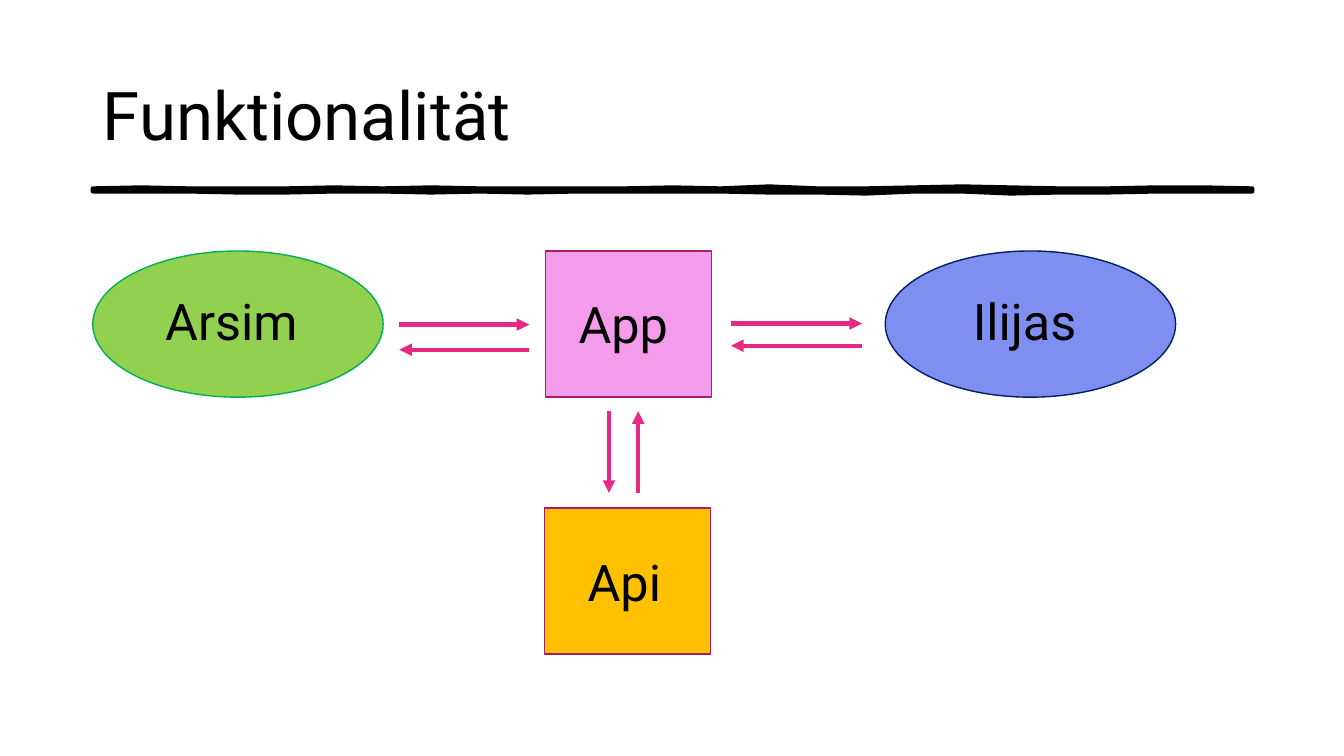
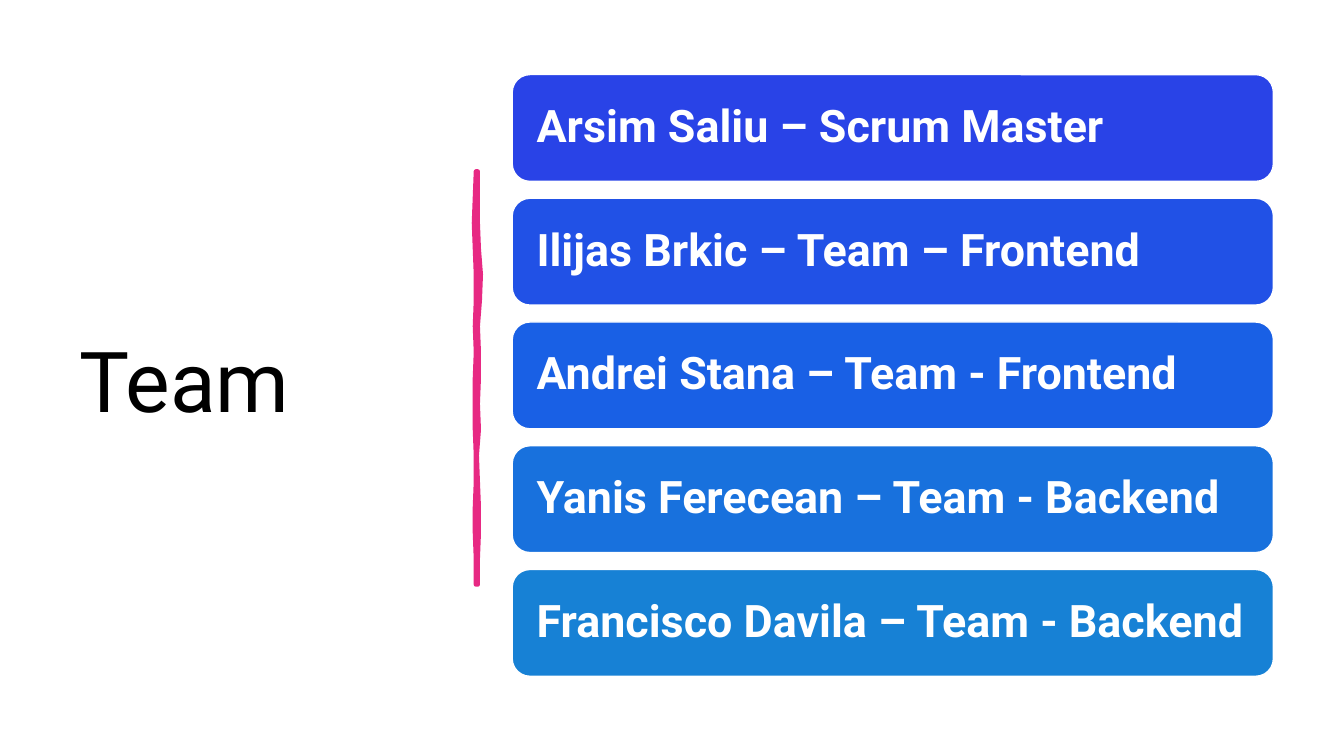
from dataclasses import dataclass

from lxml.etree import SubElement as add_node
from pptx import Presentation
from pptx.dml.color import RGBColor as Color
from pptx.enum.shapes import MSO_CONNECTOR as Link, MSO_SHAPE as Form
from pptx.enum.text import MSO_ANCHOR as Anchor, PP_ALIGN as Align
from pptx.oxml.ns import qn
from pptx.util import Inches, Pt


@dataclass(frozen=True)
class Theme:
    """Colours, font and type sizes of the deck."""
    font: str = "Roboto"
    ink: str = "000000"
    paper: str = "FFFFFF"
    pink: str = "E72983"
    wine: str = "AB1E61"
    lime: str = "92D050"
    green: str = "00B050"
    rose: str = "F49CEB"
    lilac: str = "7F8EF1"
    navy: str = "002060"
    gold: str = "FFC000"
    blues: tuple = ("2943E7", "2151E6", "1960E5", "1871DD", "1781D5")
    head: int = 48
    cover: int = 60
    label: int = 36
    bar: int = 32
    thin: int = 1
    thick: int = 3


T = Theme()
TEAM = (
    "Arsim Saliu – Scrum Master",
    "Ilijas Brkic – Team – Frontend",
    "Andrei Stana – Team - Frontend",
    "Yanis Ferecean – Team - Backend",
    "Francisco Davila – Team - Backend",
)
RULE = (
    (0, -1, 0, 0, 0, -1, 0, -1, 0, 0, 0, 0, -1, 0, -2, 0, 0, -1, -2, -1, 0, 0, -1, -1, 0),
    (3, 3, 3, 4, 4, 3, 3, 4, 3, 4, 3, 3, 3, 3, 4, 4, 5, 3, 3, 5, 4, 4, 3, 3, 3),
)
STROKE = (
    (0, -1, -2, -1, 0, 0, -1, 0, -1, -1, -1, 0, 0, -1, -1, 0, 0),
    (2, 2, 2, 3, 5, 4, 2, 3, 3, 2, 3, 1, 2, 3, 3, 2, 2),
)


def place(box):
    """Turn a box in inches into lengths."""
    return [Inches(n) for n in box]


def write(shape, text, size, tint, anchor, bold=False):
    """Set one left-aligned line of text in a shape."""
    frame = shape.text_frame
    frame.word_wrap = True
    frame.vertical_anchor = anchor
    frame.text = text
    para = frame.paragraphs[0]
    para.alignment = Align.LEFT
    font = para.runs[0].font
    font.name, font.size, font.bold = T.font, Pt(size), bold
    font.color.rgb = Color.from_string(tint)
    return frame


def add_text(slide, box, text, size, anchor=Anchor.MIDDLE):
    """Add a black text box."""
    write(slide.shapes.add_textbox(*place(box)), text, size, T.ink, anchor)


def paint(shape, fill, edge, width):
    """Give a shape a flat fill and an outline."""
    shape.shadow.inherit = False
    shape.fill.solid()
    shape.fill.fore_color.rgb = Color.from_string(fill)
    shape.line.color.rgb = Color.from_string(edge)
    shape.line.width = Pt(width)
    return shape


def brush(slide, box, edges, tint):
    """Draw an uneven stroke along the longer side of a box."""
    left, top, wide, high = box
    step = max(wide, high) / (len(edges[0]) - 1)
    near, far = ([(i * step, n / 100) for i, n in enumerate(edge)] for edge in edges)
    loop = near + far[::-1]
    if high > wide:
        loop = [(y, x) for x, y in loop]
    spots = [(Inches(left + x), Inches(top + y)) for x, y in loop]
    pen = slide.shapes.build_freeform(*spots[0])
    pen.add_line_segments(spots[1:], close=True)
    shape = paint(pen.convert_to_shape(), tint, tint, T.thick)
    add_node(shape.element.spPr.find(qn("a:ln")), qn("a:round"))


def node(slide, box, form, fill, edge, text, shift):
    """Draw a node with its label shifted from the corner."""
    paint(slide.shapes.add_shape(form, *place(box)), fill, edge, T.thin)
    left, top, wide, high = box
    right, down = shift
    add_text(slide, (left + right, top + down, 2, 0.71), text, T.label, Anchor.TOP)


def arrow(slide, start, end):
    """Draw a pink arrow between two points."""
    link = slide.shapes.add_connector(Link.STRAIGHT, *place(start + end))
    link.line.color.rgb = Color.from_string(T.pink)
    link.line.width = Pt(T.thick)
    props = link.element.spPr
    add_node(props.find(qn("a:ln")), qn("a:tailEnd"), type="triangle")
    add_node(props, qn("a:effectLst"))


def swap(slide, box, upright=False):
    """Draw two opposed arrows on the long sides of a box."""
    left, top, wide, high = box
    right, low = left + wide, top + high
    if upright:
        arrow(slide, (left, top), (left, low))
        arrow(slide, (right, low), (right, top))
    else:
        arrow(slide, (left, top), (right, top))
        arrow(slide, (right, low), (left, low))


def flow(slide, box):
    """Draw the app, its two users and the API."""
    left, top = box[:2]
    oval, square = (2.88, 1.45), (1.65, 1.45)
    nodes = (
        (0, 0, oval, Form.OVAL, T.lime, T.green, "Arsim", (0.62, 0.34)),
        (4.49, 0, square, Form.RECTANGLE, T.rose, T.wine, "App", (0.23, 0.37)),
        (7.86, 0, oval, Form.OVAL, T.lilac, T.navy, "Ilijas", (0.77, 0.34)),
        (4.48, 2.55, square, Form.RECTANGLE, T.gold, T.wine, "Api", (0.33, 0.38)),
    )
    for x, y, size, *look in nodes:
        node(slide, (left + x, top + y, *size), *look)
    swap(slide, (left + 3.04, top + 0.73, 1.29, 0.25))
    swap(slide, (left + 6.33, top + 0.72, 1.3, 0.22))
    swap(slide, (left + 5.12, top + 1.59, 0.29, 0.81), upright=True)


def roster(slide, box):
    """Stack one bar for each team member in a box."""
    left, top, wide, high = box
    bar = 1.06
    step = (high - bar) / (len(TEAM) - 1)
    for i, (name, fill) in enumerate(zip(TEAM, T.blues)):
        spot = place((left, top + i * step, wide, bar))
        shape = slide.shapes.add_shape(Form.ROUNDED_RECTANGLE, *spot)
        paint(shape, fill, T.paper, T.thin)
        frame = write(shape, name, T.bar, T.paper, Anchor.MIDDLE, bold=True)
        frame.margin_left = frame.margin_right = Inches(0.13)
        frame.margin_left = Inches(0.19)
        frame.paragraphs[0].line_spacing = 0.9


def flow_slide(slide):
    """Build the slide on how the app works."""
    brush(slide, (0.92, 1.87, 11.5, 0.03), RULE, T.ink)
    add_text(slide, (0.92, 0.4, 11.5, 1.45), "Funktionalität", T.head)
    flow(slide, (0.92, 2.49, 10.74, 4))


def team_slide(slide):
    """Build the slide on the team."""
    add_text(slide, (0.69, 0.7, 3.74, 6.11), "Team", T.cover)
    brush(slide, (4.72, 1.7, 0.02, 4.1), STROKE, T.pink)
    roster(slide, (5.08, 0.74, 7.55, 5.97))


def main():
    """Build and save the deck."""
    deck = Presentation()
    deck.slide_width, deck.slide_height = Inches(13.33), Inches(7.5)
    for build in (flow_slide, team_slide):
        build(deck.slides.add_slide(deck.slide_layouts[6]))
    deck.save("out.pptx")


if __name__ == "__main__":
    main()
